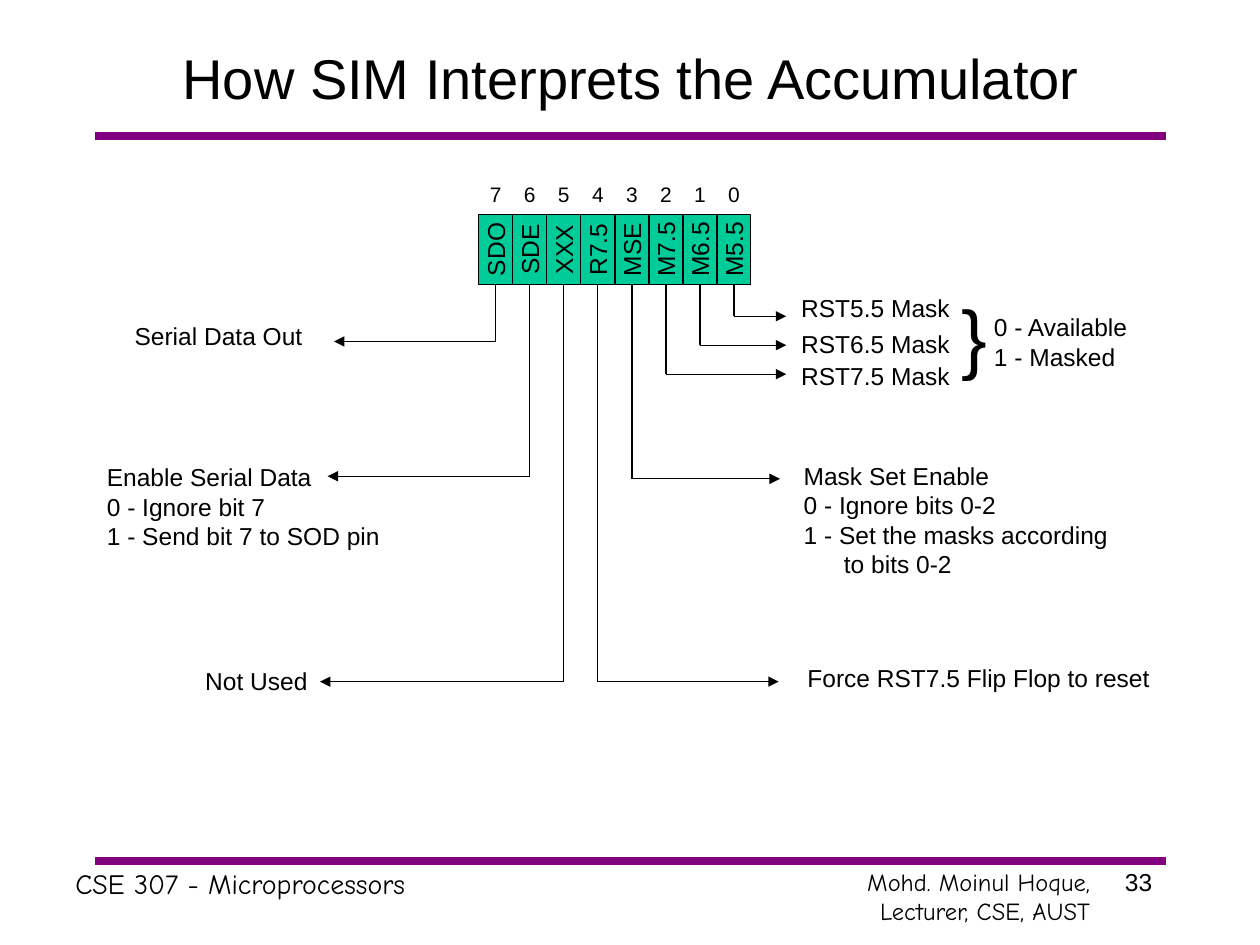
from lxml import etree
from pptx import Presentation
from pptx.dml.color import RGBColor
from pptx.enum.shapes import MSO_CONNECTOR, MSO_SHAPE
from pptx.enum.text import MSO_ANCHOR, PP_ALIGN
from pptx.oxml.ns import qn
from pptx.util import Inches, Pt

LEFT, CENTER, RIGHT = PP_ALIGN.LEFT, PP_ALIGN.CENTER, PP_ALIGN.RIGHT
MIDDLE = MSO_ANCHOR.MIDDLE
STRAIGHT = MSO_CONNECTOR.STRAIGHT
RECT = MSO_SHAPE.RECTANGLE
color = RGBColor.from_string

prs = Presentation()
prs.slide_width, prs.slide_height = Inches(10), Inches(7.5)
s = prs.slides.add_slide(prs.slide_layouts[6])


def text(x, y, w, h, lines, size=14, align=LEFT, font="Arial", wrap=False):
    sp = s.shapes.add_textbox(Inches(x), Inches(y), Inches(w), Inches(h))
    tf = sp.text_frame
    tf.word_wrap = wrap
    for i, line in enumerate(lines):
        p = tf.paragraphs[0] if i == 0 else tf.add_paragraph()
        p.alignment = align
        r = p.add_run()
        r.text = line
        r.font.size, r.font.name = Pt(size), font
        r.font.color.rgb = color("000000")
    return sp


def line(x1, y1, x2, y2, width=0.75, rgb="000000", arrow=False):
    c = s.shapes.add_connector(STRAIGHT, Inches(x1), Inches(y1), Inches(x2), Inches(y2))
    c.line.width = Pt(width)
    c.line.color.rgb = color(rgb)
    if arrow:
        etree.SubElement(c.line._get_or_add_ln(), qn("a:tailEnd"), type="triangle")
    etree.SubElement(c._element.spPr, qn("a:effectLst"))


# Title, rules and footer
for y in (1.08, 6.83):
    line(0.75, y, 9.25, y, 4.5, "800080")
sp = text(0.76, 0.24, 8.5, 0.75, ["How SIM Interprets the Accumulator"], 32, CENTER, wrap=True)
sp.text_frame.vertical_anchor = MIDDLE
text(0.5, 6.83, 5.67, 0.37, ["CSE 307 - Microprocessors"], 16, font="Comic Neue", wrap=True)
text(6.33, 6.83, 2.42, 0.57, ["Mohd. Moinul Hoque, Lecturer, CSE, AUST"], 14, RIGHT,
     "Comic Neue", wrap=True)
text(8.83, 6.83, 0.53, 0.5, ["33"], wrap=True)

# Accumulator register
REG_X, REG_TOP, REG_BOTTOM, BIT_W = 3.8, 1.7, 2.26, 0.27
sp = s.shapes.add_shape(RECT, Inches(REG_X), Inches(REG_TOP), Inches(8 * BIT_W),
                        Inches(REG_BOTTOM - REG_TOP))
sp.shadow.inherit = False
sp.fill.solid()
sp.fill.fore_color.rgb = color("00CC99")
sp.line.color.rgb = color("000000")
sp.line.width = Pt(0.75)

# Each bit: name, height of its leader, x of its arrowhead
bits = [
    ("SDO", 2.71, 2.65), ("SDE", 3.78, 2.6), ("XXX", 5.41, 2.54), ("R7.5", 5.41, 6.18),
    ("MSE", 3.8, 6.19), ("M7.5", 2.97, 6.24), ("M6.5", 2.74, 6.24), ("M5.5", 2.51, 6.24),
]
for i, (name, y, tip) in enumerate(bits):
    x = REG_X + BIT_W * (i + 0.5)
    text(x - 0.15, 1.39, 0.3, 0.3, [str(7 - i)], 12, CENTER)
    sp = text(x - 0.4, 1.81, 0.8, 0.34, [name], align=CENTER)
    sp.rotation = 270
    if i:
        line(REG_X + BIT_W * i, REG_BOTTOM, REG_X + BIT_W * i, REG_TOP)
    line(x, REG_BOTTOM, x, y)
    line(x, y, tip, y, arrow=True)

# Explanations on the left
text(0.97, 2.5, 1.53, 0.34, ["Serial Data Out"], align=RIGHT)
text(0.75, 3.62, 2.5, 0.8,
     ["Enable Serial Data", "0 - Ignore bit 7", "1 - Send bit 7 to SOD pin"])
text(1.53, 5.24, 1.01, 0.34, ["Not Used"], align=RIGHT)

# Explanations on the right
for name, y in (("RST5.5", 2.28), ("RST6.5", 2.56), ("RST7.5", 2.82)):
    text(6.26, y, 1.43, 0.34, [name + " Mask"], wrap=True)
text(7.53, 2.24, 0.4, 0.84, ["}"], 44)
text(7.79, 2.43, 1.4, 0.57, ["0 - Available", "1 - Masked"], wrap=True)
sp = text(6.28, 3.61, 2.8, 1.04, ["Mask Set Enable", "0 - Ignore bits 0-2",
                                  "1 - Set the masks according", "to bits 0-2"], wrap=True)
pPr = sp.text_frame.paragraphs[-1]._p.get_or_add_pPr()
pPr.set("marL", str(Inches(0.32)))
pPr.set("indent", "0")
text(6.31, 5.21, 3.1, 0.34, ["Force RST7.5 Flip Flop to reset"], wrap=True)

prs.save("out.pptx")
